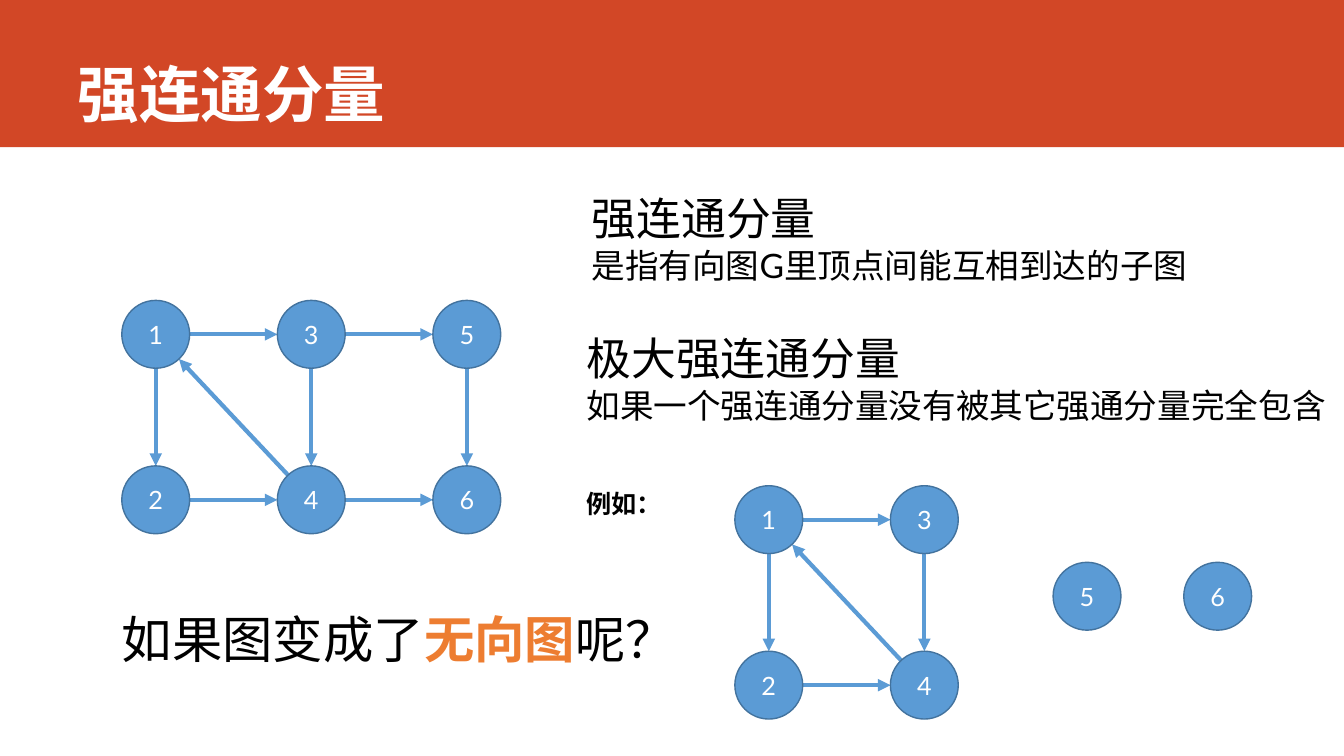
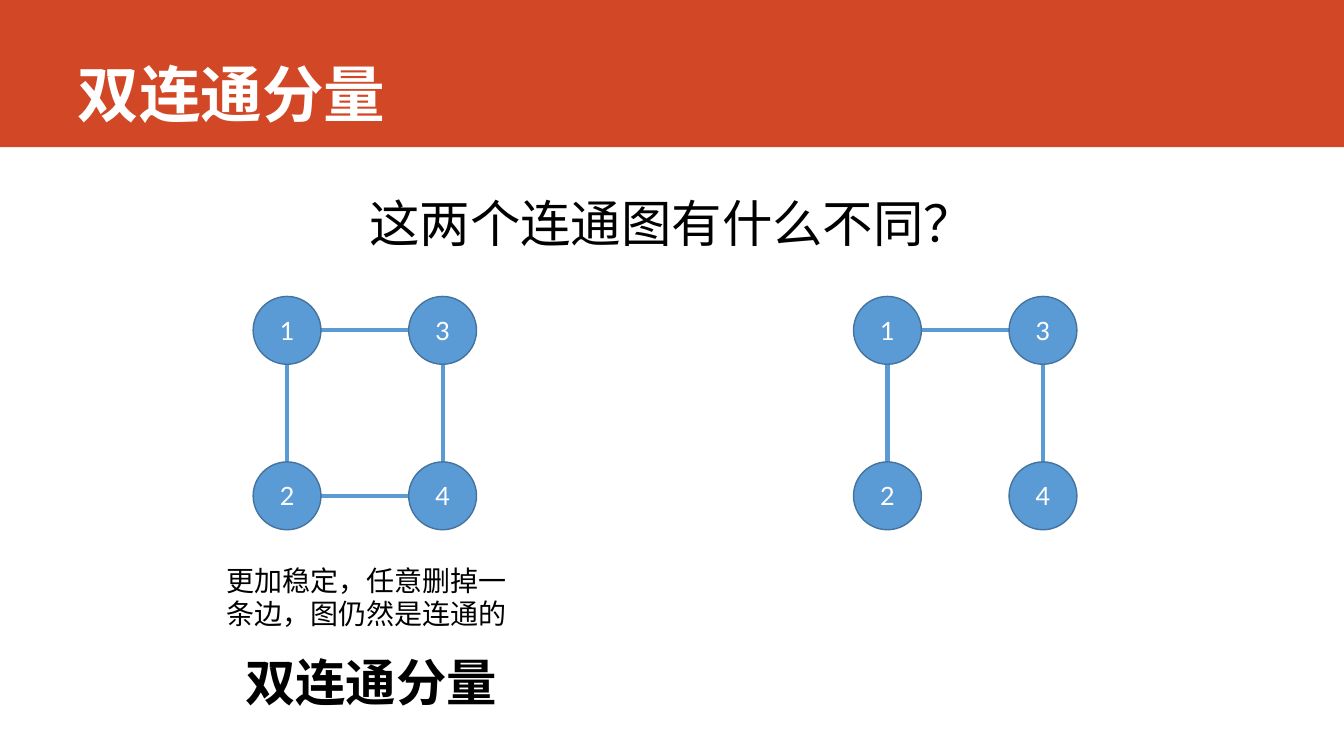
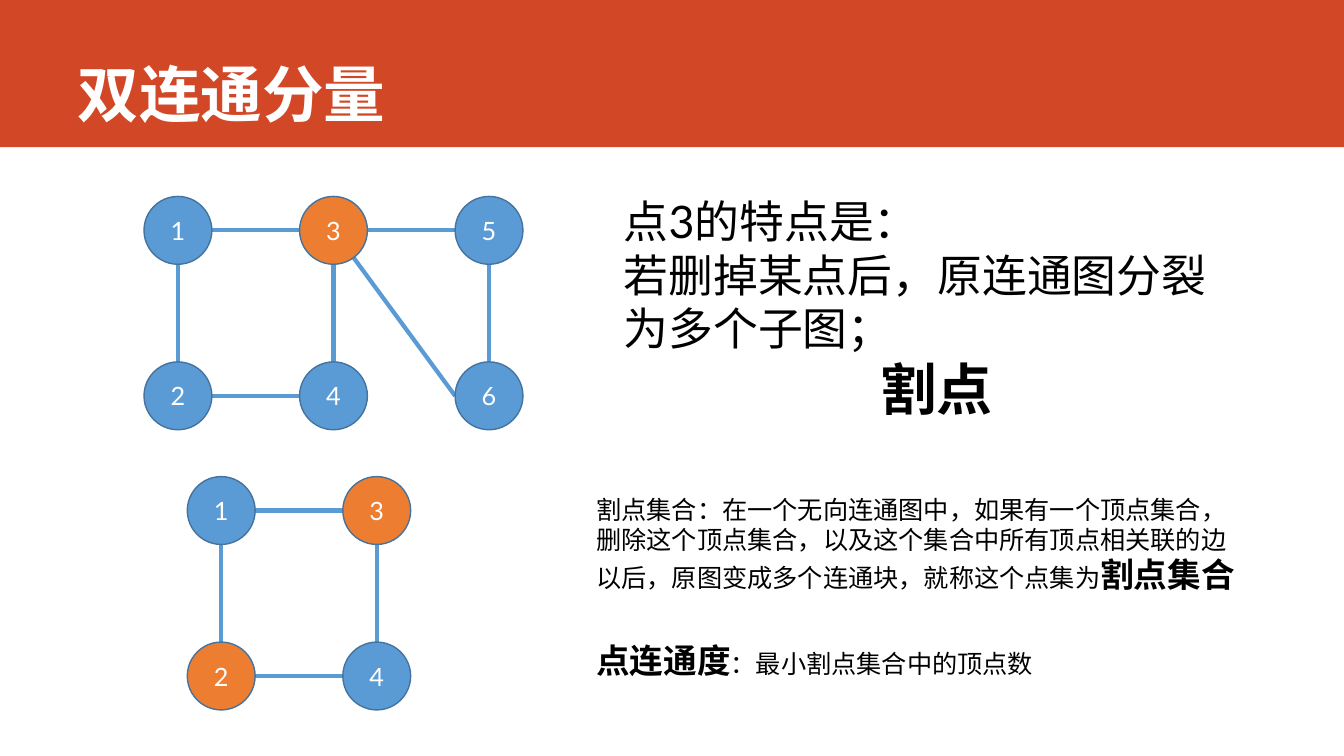
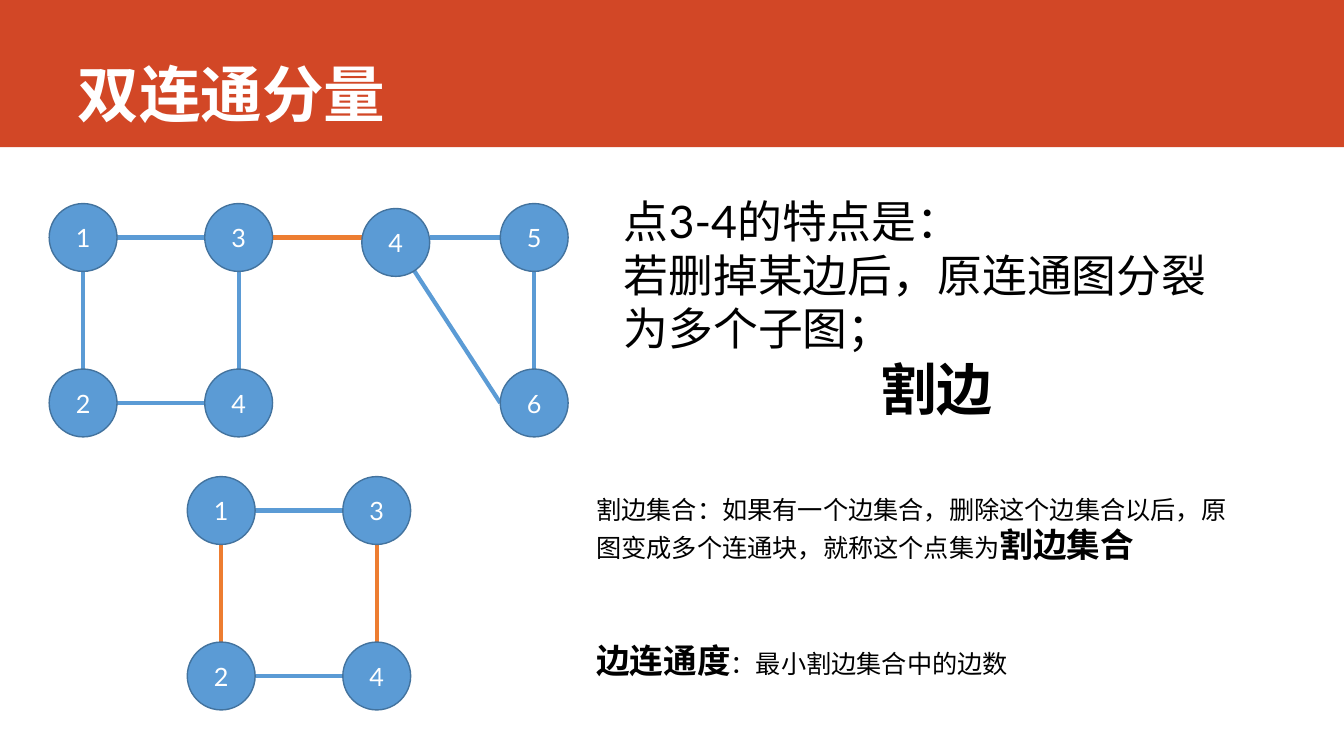
from math import hypot

from lxml import etree
from pptx import Presentation
from pptx.dml.color import RGBColor
from pptx.enum.shapes import MSO_CONNECTOR, MSO_SHAPE
from pptx.enum.text import MSO_ANCHOR as Anchor, MSO_AUTO_SIZE as AutoSize, PP_ALIGN as Align
from pptx.oxml.ns import qn
from pptx.util import Cm, Pt

BAND = RGBColor(0xD2, 0x47, 0x26)
BLUE = RGBColor(0x5B, 0x9B, 0xD5)
OUTLINE = RGBColor(0x43, 0x73, 0x9E)
ORANGE = RGBColor(0xED, 0x7D, 0x31)
WHITE = RGBColor(0xFF, 0xFF, 0xFF)
BLACK = RGBColor(0, 0, 0)

TITLE_FONT = "Noto Sans CJK SC"
BODY_FONT = "Lato"
WIDTH, HEIGHT = 33.87, 19.05
DIAMETER = 1.71
COLUMN_STEP, ROW_STEP = 3.92, 4.17
LEVEL_TOLERANCE = 0.3

# Node positions in columns and rows; the first character of a key is its label.
SQUARE = {"1": (0, 0), "3": (1, 0), "2": (0, 1), "4": (1, 1)}
LADDER = SQUARE | {"5": (2, 0), "6": (2, 1)}
BRIDGED = SQUARE | {"4b": (2.01, 0.03), "5": (2.9, 0), "6": (2.9, 1)}
RING = "1-2 3-4 1-3 2-4"


class GraphDeck:
    """Holds the deck style and the slide being filled; lengths are centimetres."""

    def __init__(self):
        self.deck = Presentation()
        self.deck.slide_width, self.deck.slide_height = Cm(WIDTH), Cm(HEIGHT)
        self.layout = self.deck.slide_layouts[5]
        self.slide = None
        self.style_layout()

    def style_layout(self):
        for holder in list(self.layout.placeholders):
            if holder.placeholder_format.idx:
                holder.element.getparent().remove(holder.element)
        title = self.layout.placeholders[0]
        title.left, title.top, title.width, title.height = Cm(1.7), 0, Cm(29.85), Cm(3.4)
        title.text_frame.vertical_anchor = Anchor.BOTTOM
        title.text_frame.auto_size = AutoSize.NONE

    def add_band(self):
        """Put the band on the layout, behind the title, once for all slides."""
        band = self.slide.shapes.add_shape(MSO_SHAPE.RECTANGLE, 0, 0, Cm(WIDTH), Cm(3.71))
        band.shadow.inherit = False
        band.fill.solid()
        band.fill.fore_color.rgb = BAND
        band.line.fill.background()
        self.layout.shapes.element.insert(2, band.element)

    def add_slide(self, title):
        self.slide = self.deck.slides.add_slide(self.layout)
        if len(self.deck.slides) == 1:
            self.add_band()
        para = self.slide.shapes.title.text_frame.paragraphs[0]
        para.alignment = Align.LEFT
        self.add_run(para, title, 44, True, WHITE, TITLE_FONT)

    def add_run(self, para, text, size, bold=False, color=BLACK, font=BODY_FONT):
        span = para.add_run()
        span.text = text
        span.font.size, span.font.bold, span.font.name = Pt(size), bold, font
        span.font.color.rgb = color
        east_asian = etree.SubElement(span.font._element, qn("a:ea"))
        east_asian.set("typeface", font)

    def add_text(self, left, top, width, height, *paragraphs, align=Align.LEFT):
        """Each paragraph is a list of runs: (text, size, bold, color)."""
        box = self.slide.shapes.add_textbox(Cm(left), Cm(top), Cm(width), Cm(height))
        frame = box.text_frame
        frame.word_wrap = True
        for index, runs in enumerate(paragraphs):
            para = frame.paragraphs[0] if index == 0 else frame.add_paragraph()
            para.alignment = align
            for run in runs:
                self.add_run(para, *run)
        return frame

    def add_definition(self, left, top, width, term, meaning):
        frame = self.add_text(left, top, width, 3.33, [(term, 32)], [(meaning, 24)])
        frame.paragraphs[0].line_spacing = 1.5

    def add_node(self, group, label, center, color):
        x, y = center
        node = group.shapes.add_shape(MSO_SHAPE.OVAL, Cm(x - DIAMETER / 2), Cm(y - DIAMETER / 2),
                                      Cm(DIAMETER), Cm(DIAMETER))
        node.shadow.inherit = False
        node.fill.solid()
        node.fill.fore_color.rgb = color
        node.line.color.rgb, node.line.width = OUTLINE, Pt(1)
        node.text_frame.vertical_anchor = Anchor.MIDDLE
        para = node.text_frame.paragraphs[0]
        para.alignment = Align.CENTER
        self.add_run(para, label, 18, color=WHITE)

    def add_edge(self, group, start, end, color, arrow, to_side):
        """Join two circles rim to rim, or end at the left side of the second."""
        (x1, y1), (x2, y2) = start, end
        radius = DIAMETER / 2
        if abs(y2 - y1) < LEVEL_TOLERANCE:
            y2 = y1
        if to_side:
            x2 -= radius
        length = hypot(x2 - x1, y2 - y1)
        dx, dy = radius * (x2 - x1) / length, radius * (y2 - y1) / length
        x1, y1 = x1 + dx, y1 + dy
        if not to_side:
            x2, y2 = x2 - dx, y2 - dy
        edge = group.shapes.add_connector(MSO_CONNECTOR.STRAIGHT, Cm(x1), Cm(y1), Cm(x2), Cm(y2))
        edge.line.color.rgb, edge.line.width = color, Pt(3)
        if arrow:
            etree.SubElement(edge.line._get_or_add_ln(), qn("a:tailEnd")).set("type", "triangle")
        etree.SubElement(edge.element.spPr, qn("a:effectLst"))

    def add_graph(self, left, top, nodes, edges="", accent="", arrow=False, to_side=""):
        """Draw edges such as "1-2"; accent lists the orange nodes and edges."""
        group = self.slide.shapes.add_group_shape()
        marked = accent.split()
        centers = {key: (left + DIAMETER / 2 + column * COLUMN_STEP,
                         top + DIAMETER / 2 + row * ROW_STEP)
                   for key, (column, row) in nodes.items()}
        for edge in edges.split():
            start, end = edge.split("-")
            self.add_edge(group, centers[start], centers[end],
                          ORANGE if edge in marked else BLUE, arrow, edge == to_side)
        for key, center in centers.items():
            self.add_node(group, key[0], center, ORANGE if key in marked else BLUE)

    def add_cut_notes(self, subject, kind, definition, measure):
        """Explain a cut made of one kind of element (点 or 边)."""
        cut = "割" + kind
        frame = self.add_text(15.47, 4.75, 16.26, 6.07,
                              [(f"点{subject}的特点是：", 32)],
                              [(f"若删掉某{kind}后，原连通图分裂为多个子图；", 32)],
                              [(cut, 40, True)])
        frame.paragraphs[2].alignment = Align.CENTER
        self.add_text(14.78, 12.32, 16.94, 2.82,
                      [(f"{cut}集合：{definition}，原图变成多个连通块，就称这个点集为", 18),
                       (f"{cut}集合", 24, True)])
        self.add_text(14.78, 16, 11.63, 1.27,
                      [(f"{kind}连通度", 24, True), (f"：最小{cut}集合中的{measure}", 18)])


def strong_components(show):
    show.add_slide("强连通分量")
    loop = RING + " 4-1"
    show.add_graph(3.07, 7.57, LADDER, loop + " 5-6 3-5 4-6", arrow=True)
    show.add_definition(14.66, 4.01, 15.65, "强连通分量", "是指有向图G里顶点间能互相到达的子图")
    show.add_definition(14.53, 7.54, 19.33, "极大强连通分量",
                        "如果一个强连通分量没有被其它强通分量完全包含")
    show.add_text(14.53, 12.19, 2.77, 1.02, [("例如：", 18, True)])
    show.add_graph(18.52, 12.24, SQUARE, loop, arrow=True)
    show.add_graph(26.54, 14.17, {"5": (0, 0), "6": (0.84, 0)})
    show.add_text(2.82, 15.21, 13.74, 1.8,
                  [("如果图变成了", 36), ("无向图", 36, True, ORANGE), ("呢？", 36)])


def stable_graph(show):
    show.add_slide("双连通分量")
    show.add_text(8.18, 4.72, 17.5, 1.8, [("这两个连通图有什么不同？", 36)], align=Align.CENTER)
    show.add_graph(6.38, 7.47, SQUARE, RING)
    show.add_graph(21.51, 7.47, SQUARE, "1-2 3-4 1-3")
    show.add_text(5.46, 14.07, 7.77, 1.96, [("更加稳定，任意删掉一条边，图仍然是连通的", 20)])
    show.add_text(5, 16.28, 8.71, 1.8, [("双连通分量", 36, True)], align=Align.CENTER)


def cut_vertices(show):
    show.add_slide("双连通分量")
    show.add_graph(3.63, 4.95, LADDER, RING + " 5-6 3-5 3-6", accent="3", to_side="3-6")
    show.add_graph(4.72, 12.01, SQUARE, RING, accent="2 3")
    show.add_cut_notes("3", "点", "在一个无向连通图中，如果有一个顶点集合，删除这个顶点集合，"
                       "以及这个集合中所有顶点相关联的边以后", "顶点数")


def cut_edges(show):
    show.add_slide("双连通分量")
    show.add_graph(1.24, 5.13, BRIDGED, RING + " 3-4b 5-4b 5-6 4b-6", accent="3-4b",
                   to_side="4b-6")
    show.add_graph(4.72, 12.01, SQUARE, RING, accent="1-2 3-4")
    show.add_cut_notes("3-4", "边", "如果有一个边集合，删除这个边集合以后", "边数")


def main():
    show = GraphDeck()
    for build in (strong_components, stable_graph, cut_vertices, cut_edges):
        build(show)
    show.deck.save("out.pptx")


if __name__ == "__main__":
    main()
